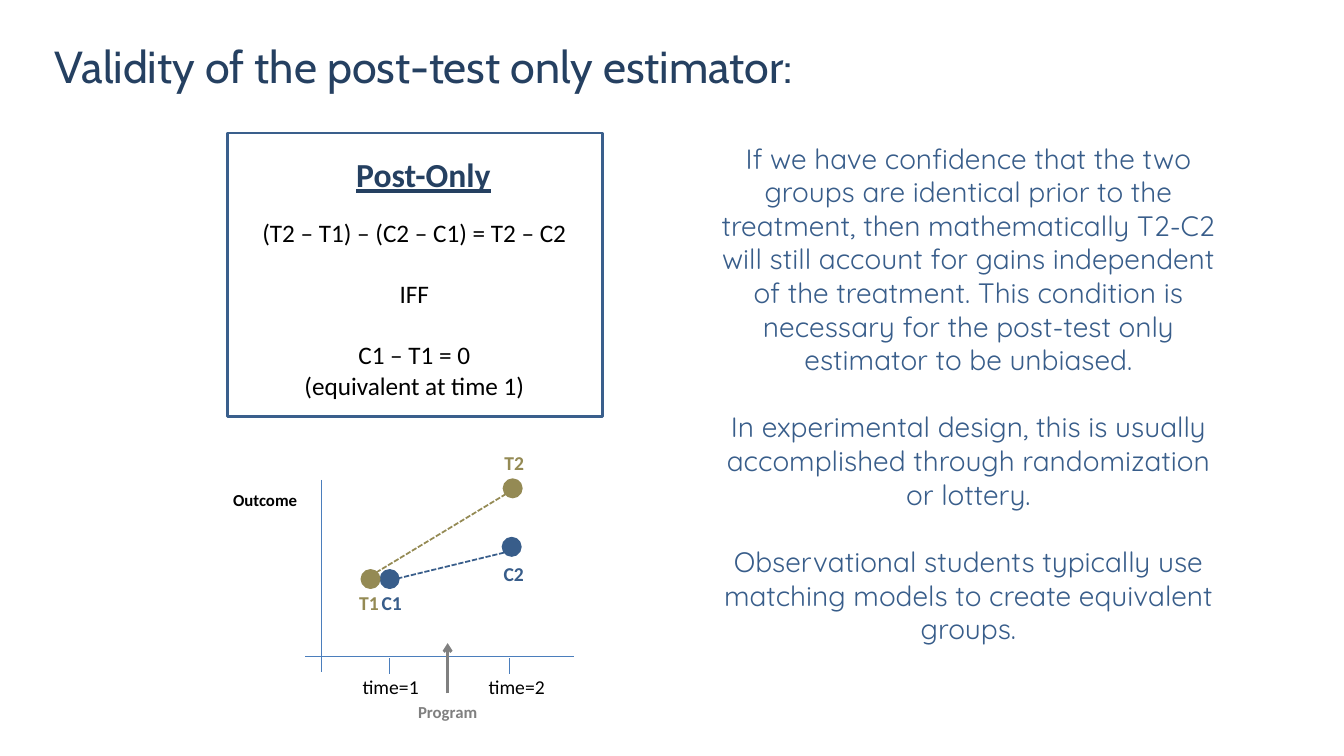
from dataclasses import dataclass

from lxml import etree
from pptx import Presentation
from pptx import util as u
from pptx.dml.color import RGBColor
from pptx.enum import dml, shapes, text
from pptx.oxml.ns import qn

COLS, ROWS = 133.3, 75  # grid of tenth-inch cells


@dataclass(frozen=True)
class Theme:
    navy: str = "254061"
    blue: str = "385D8A"
    frame: str = "3A5F8C"
    axis: str = "4B7EBC"
    olive: str = "948A54"
    grey: str = "808080"
    black: str = "000000"
    title_font: str = "Cabin"
    label_font: str = "Calibri"
    body_font: str = "Quicksand"
    title: int = 32
    heading: int = 24
    body: int = 20
    formula: int = 18
    label: int = 14
    small: int = 12
    thin: float = 0.75
    dash: float = 1.25
    thick: float = 2


T = Theme()


@dataclass(frozen=True)
class Box:
    x: float
    y: float
    w: float
    h: float

    def centred(self, x, y, w, h):
        """Box of w by h cells whose centre is x, y within this one."""
        return Box(self.x + x - w / 2, self.y + y - h / 2, w, h)

    def emu(self):
        return [cells(v) for v in (self.x, self.y, self.w, self.h)]


def cells(n):
    return u.Inches(round(n / 10, 3))


def rgb(code):
    return RGBColor.from_string(code)


def write(tf, paragraphs, color, align=text.PP_ALIGN.CENTER, wrap=True, gap=0, **fmt):
    """Fill a frame; a paragraph given as (text, True) has a gap above it."""
    tf.word_wrap = wrap
    tf.vertical_anchor = text.MSO_ANCHOR.TOP
    for i, (words, spaced) in enumerate(paragraphs):
        p = tf.paragraphs[0] if i == 0 else tf.add_paragraph()
        p.alignment = align
        p.space_before = u.Pt(gap if spaced else 0)
        r = p.add_run()
        r.text = words
        r.font.color.rgb = rgb(color)
        for name, value in fmt.items():
            setattr(r.font, name, value)


def add_text(s, box, paragraphs, color, size, font=T.label_font, **fmt):
    tb = s.shapes.add_textbox(*box.emu())
    write(tb.text_frame, paragraphs, color, size=u.Pt(size), name=font, **fmt)


def add_label(s, box, x, y, words, color, size, bold=False, w=9):
    add_text(s, box.centred(x, y, w, 3.4 if size == T.label else 3), [(words, False)],
             color, size, wrap=False, bold=bold)


def add_line(s, box, start, end, color, width, dashed=False, arrow=False):
    points = [cells(v) for x, y in (start, end) for v in (box.x + x, box.y + y)]
    line = s.shapes.add_connector(shapes.MSO_CONNECTOR.STRAIGHT, *points)
    line.line.color.rgb = rgb(color)
    line.line.width = u.Pt(width)
    if dashed:
        line.line.dash_style = dml.MSO_LINE.SQUARE_DOT
    if arrow:
        etree.SubElement(line.line._get_or_add_ln(), qn("a:tailEnd"), type="arrow")
    etree.SubElement(line._element.spPr, qn("a:effectLst"))


def add_shape(s, box, kind, outline, fill=None):
    sp = s.shapes.add_shape(kind, *box.emu())
    sp.shadow.inherit = False
    sp.line.color.rgb = rgb(outline)
    sp.line.width = u.Pt(T.thick)
    if fill:
        sp.fill.solid()
        sp.fill.fore_color.rgb = rgb(fill)
    else:
        sp.fill.background()


def add_title(s, box):
    title = s.shapes.title
    title.left, title.top, title.width, title.height = box.emu()
    write(title.text_frame, [("Validity of the post-test only estimator:", False)], T.navy,
          align=text.PP_ALIGN.LEFT, size=u.Pt(T.title), name=T.title_font)


def add_formula(s, box):
    add_text(s, box.centred(19.4, 4.1, 15.6, 5), [("Post-Only", False)], T.navy, T.heading,
             wrap=False, bold=True, underline=True)
    lines = [("(T2 – T1) – (C2 – C1) = T2 – C2", False), ("IFF", True),
             ("C1 – T1 = 0", True), ("(equivalent at time 1)", False)]
    add_text(s, box.centred(18.5, 17.5, 32.6, 19.2), lines, T.black, T.formula,
             wrap=False, gap=22)
    add_shape(s, box, shapes.MSO_SHAPE.RECTANGLE, T.frame)


def add_plot(s, box):
    add_line(s, box, (14.7, 12.6), (27.6, 4.8), T.olive, T.dash, dashed=True)
    add_line(s, box, (16.8, 13.2), (27.5, 10.6), T.blue, T.dash, dashed=True)
    add_line(s, box, (9.3, 3.4), (9.3, 22.5), T.axis, T.thin)
    add_line(s, box, (7.7, 20.9), (34.3, 20.9), T.axis, T.thin)

    # Name, colour, dot centre, label centre
    groups = [("C1", T.blue, (16.05, 13.25), (16.25, 15.6)),
              ("C2", T.blue, (28.15, 10.05), (28.35, 12.8)),
              ("T1", T.olive, (14.15, 13.25), (14, 15.6)),
              ("T2", T.olive, (28.25, 4.25), (28.4, 1.7))]
    for name, color, dot, label in groups:
        add_shape(s, box.centred(*dot, 1.7, 1.7), shapes.MSO_SHAPE.OVAL, color, color)
        add_label(s, box, *label, name, color, T.label, bold=True, w=4.1)

    for words, tick, label in (("time=1", 16, 16.15), ("time=2", 27.9, 28.65)):
        add_line(s, box, (tick, 21.1), (tick, 22.7), T.axis, T.thin)
        add_label(s, box, label, 24, words, T.black, T.label)

    add_line(s, box, (21.8, 24.6), (21.8, 19.6), T.grey, T.thick, arrow=True)
    add_label(s, box, 21.8, 26.4, "Program", T.grey, T.small, bold=True)
    add_label(s, box, 3.7, 5.4, "Outcome", T.black, T.small, bold=True)


def add_explanation(s, box):
    paragraphs = [
        "If we have confidence that the two groups are identical prior to the treatment, "
        "then mathematically T2-C2 will still account for gains independent of the treatment. "
        "This condition is necessary for the post-test only estimator to be unbiased.",
        "In experimental design, this is usually accomplished through randomization or lottery.",
        "Observational students typically use matching models to create equivalent groups."]
    add_text(s, box, [(words, i > 0) for i, words in enumerate(paragraphs)],
             T.blue, T.body, font=T.body_font, gap=24)


def main():
    prs = Presentation()
    prs.slide_width, prs.slide_height = cells(COLS), cells(ROWS)
    s = prs.slides.add_slide(prs.slide_layouts[5])
    add_title(s, Box(4.4, 3.3, 90.3, 6.4))
    add_formula(s, Box(22.6, 13.2, 37.2, 28.1))
    add_plot(s, Box(22.6, 44.2, 37.2, 27.9))
    add_explanation(s, Box(70.4, 13.5, 51.3, 51.5))
    prs.save("out.pptx")


if __name__ == "__main__":
    main()
